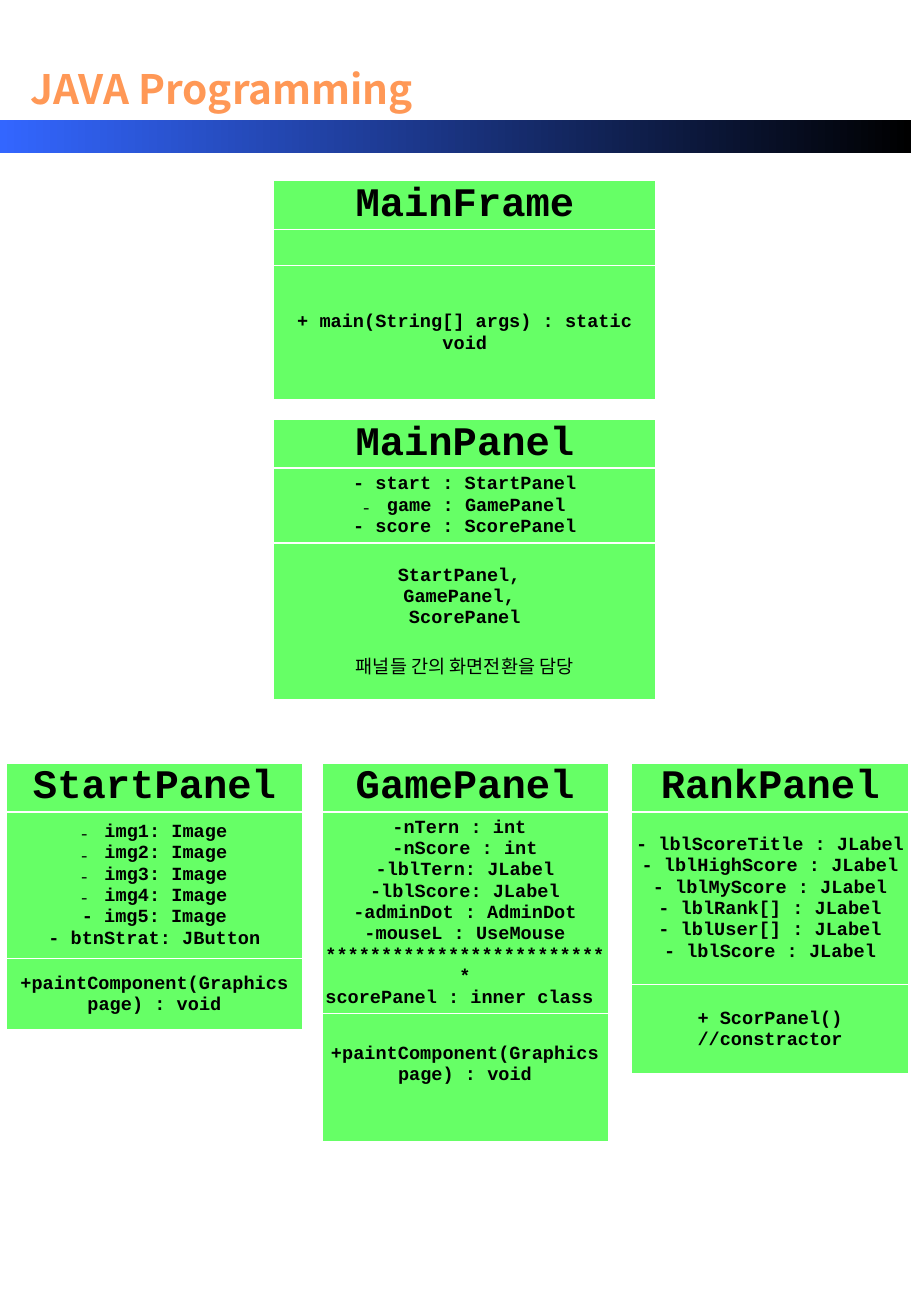
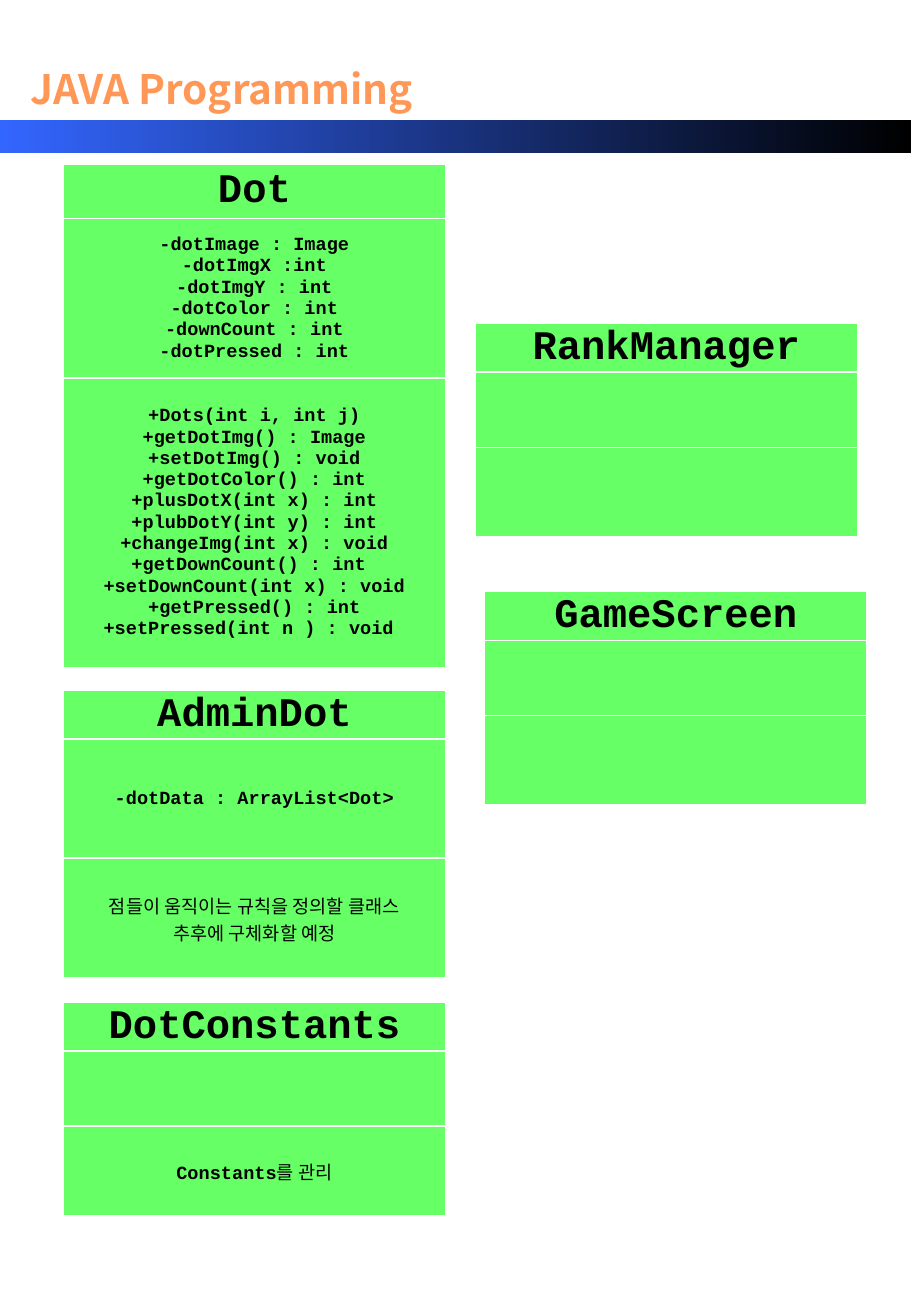
from lxml import etree
from pptx import Presentation
from pptx.dml.color import RGBColor
from pptx.enum.shapes import MSO_SHAPE
from pptx.enum.text import MSO_ANCHOR, MSO_AUTO_SIZE, PP_ALIGN
from pptx.oxml.ns import qn
from pptx.util import Cm, Pt

CENTER = PP_ALIGN.CENTER
MIDDLE = MSO_ANCHOR.MIDDLE
NO_AUTOSIZE = MSO_AUTO_SIZE.NONE
RECTANGLE = MSO_SHAPE.RECTANGLE

COLORS = {"title": "FF9856", "band_start": "3366FF", "band_end": "000000",
          "cell": "66FF66", "border": "FFFFFF", "text": "000000"}
CODE_FONT, KOREAN_FONT = "Courier New", "Noto Sans CJK KR"
NAME_SIZE, MEMBER_SIZE = 24, 11
SLIDE_WIDTH, SLIDE_HEIGHT = 19.05, 27.51
BULLET = "• "  # marks a member whose dash is a list bullet

# Each class: name, (left, top, width), row heights, attributes, operations.
# A line is a string, or a tuple of runs.
TITLE = "JAVA Programming"
WIDE = 8.0
CENTER_LEFT, PANELS_TOP = 5.72, 15.95
DOTS_LEFT = 1.32
SMALL_ROWS = (1.02, 1.57, 1.87)

PANEL_CLASSES = [
    ("MainFrame", (CENTER_LEFT, 3.76, WIDE), (1.04, 0.75, 2.81), [],
     ["+ main(String[] args) : static void"]),
    ("MainPanel", (CENTER_LEFT, 8.76, WIDE), (1.02, 1.57, 3.27),
     ["- start : StartPanel", BULLET + "game : GamePanel",
      "- score : ScorePanel"],
     ["StartPanel, ", "GamePanel, ", "ScorePanel",
      "패널들 간의 화면전환을 담당"]),
    ("StartPanel", (0.13, PANELS_TOP, 6.2), (1.02, 3.07, 1.48),
     [BULLET + "img1: Image", BULLET + "img2: Image", BULLET + "img3: Image",
      BULLET + "img4: Image", "- img5: Image", "- btnStrat: JButton"],
     ["+paintComponent(Graphics page) : void"]),
    ("GamePanel", (6.73, PANELS_TOP, 5.99), (1.02, 4.22, 2.67),
     ["-nTern : int ", "-nScore : int", "-lblTern: JLabel",
      "-lblScore: JLabel", "-adminDot : AdminDot", "-mouseL : UseMouse",
      "*" * 26, "scorePanel : inner class "],
     ["+paintComponent(Graphics page) : void"]),
    ("RankPanel", (13.21, PANELS_TOP, 5.79), (1.02, 3.61, 1.87),
     ["- lblScoreTitle : JLabel", "- lblHighScore : JLabel",
      "- lblMyScore : JLabel", "- lblRank[] : JLabel",
      "- lblUser[] : JLabel", "- lblScore : JLabel"],
     ["+ ScorPanel() //constractor"]),
]
DOT_CLASSES = [
    ("AdminDot", (DOTS_LEFT, 14.43, WIDE), (1.02, 2.49, 2.49),
     ["-dotData : ArrayList<Dot>"],
     ["점들이 움직이는 규칙을 정의할 클래스", "추후에 구체화할 예정"]),
    ("Dot", (DOTS_LEFT, 3.43, WIDE), (1.14, 3.33, 6.05),
     ["-dotImage : Image", "-dotImgX :int", "-dotImgY : int",
      "-dotColor : int", "-downCount : int", "-dotPressed : int"],
     ["+Dots(int i, int j)", "+getDotImg() : Image", "+setDotImg() : void",
      "+getDotColor() : int", "+plusDotX(int x) : int",
      "+plubDotY(int y) : int", "+changeImg(int x) : void",
      "+getDownCount() : int ", "+setDownCount(int x) : void",
      "+getPressed() : int", "+setPressed(int n ) : void "]),
    ("DotConstants", (DOTS_LEFT, 20.95, WIDE), SMALL_ROWS, [],
     [("Constants", "를 관리")]),
    ("RankManager", (9.93, 6.76, WIDE), SMALL_ROWS, [], []),
    ("GameScreen", (10.13, 12.37, WIDE), SMALL_ROWS, [], []),
]
PARAGRAPH_GAPS = {"패널들 간의 화면전환을 담당": 13}  # points before the line
BOTTOM_MARGINS = {"GamePanel": 0.54}  # lifts the operations of a class


def rgb(key):
    """Return the named colour."""
    return RGBColor.from_string(COLORS[key])


def is_korean(text):
    """Tell whether the text holds Hangul."""
    return any("가" <= letter <= "힣" for letter in text)


def add_run(paragraph, text, size, font, color, bold):
    """Add one formatted run, with the same font for East Asian text."""
    run = paragraph.add_run()
    run.text = text
    run.font.size = Pt(size)
    run.font.bold = bold
    run.font.name = font
    run.font.color.rgb = rgb(color)
    east_asian = etree.Element(qn("a:ea"), typeface=font)
    run.font._element.find(qn("a:latin")).addnext(east_asian)


def add_dash_bullet(paragraph):
    """Give the paragraph a hanging dash bullet."""
    properties = paragraph._p.get_or_add_pPr()
    properties.set("marL", str(Cm(0.48)))
    properties.set("indent", str(-Cm(0.48)))
    etree.SubElement(properties, qn("a:buFont"), typeface=KOREAN_FONT)
    etree.SubElement(properties, qn("a:buChar"), char="-")


def style_cell(cell):
    """Set fill, margins and white borders of a cell."""
    cell.fill.solid()
    cell.fill.fore_color.rgb = rgb("cell")
    cell.vertical_anchor = MIDDLE
    cell.margin_left = cell.margin_right = cell.margin_top = Cm(0.03)
    cell.margin_bottom = 0
    properties = cell._tc.get_or_add_tcPr()
    for position, side in enumerate(("lnL", "lnR", "lnT", "lnB")):
        border = etree.Element(qn("a:" + side), w=str(Pt(1)))
        paint = etree.SubElement(border, qn("a:solidFill"))
        etree.SubElement(paint, qn("a:srgbClr"), val=COLORS["border"])
        properties.insert(position, border)


def fill_cell(cell, lines, size):
    """Write centred lines into a cell."""
    frame = cell.text_frame
    if not lines:
        etree.SubElement(frame.paragraphs[0]._p, qn("a:endParaRPr"),
                         sz=str(size * 100))
    for index, line in enumerate(lines):
        paragraph = frame.add_paragraph() if index else frame.paragraphs[0]
        paragraph.alignment = CENTER
        if line in PARAGRAPH_GAPS:
            paragraph.space_before = Pt(PARAGRAPH_GAPS[line])
        runs = (line,) if isinstance(line, str) else line
        if runs[0].startswith(BULLET):
            add_dash_bullet(paragraph)
        for text in runs:
            korean = is_korean(text)
            add_run(paragraph, text.removeprefix(BULLET), size,
                    KOREAN_FONT if korean else CODE_FONT, "text", not korean)


def add_class(slide, name, place, heights, attributes, operations):
    """Draw a class as a table of name, attributes and operations."""
    left, top, width = place
    table = slide.shapes.add_table(3, 1, Cm(left), Cm(top), Cm(width),
                                   Cm(sum(heights))).table
    table.horz_banding = table.first_row = False
    sections = (([name], NAME_SIZE), (attributes, MEMBER_SIZE),
                (operations, MEMBER_SIZE))
    for index, (lines, size) in enumerate(sections):
        table.rows[index].height = Cm(heights[index])
        cell = table.cell(index, 0)
        style_cell(cell)
        fill_cell(cell, lines, size)
    if name in BOTTOM_MARGINS:
        table.cell(2, 0).margin_bottom = Cm(BOTTOM_MARGINS[name])


def add_heading(slide):
    """Place the gradient band and the shared title."""
    band = slide.shapes.add_shape(RECTANGLE, 0, Cm(2.51), Cm(SLIDE_WIDTH),
                                  Cm(0.69))
    band.shadow.inherit = False
    band.line.fill.background()
    band.fill.gradient()
    band.fill.gradient_angle = 0
    for stop, key, position in zip(band.fill.gradient_stops,
                                   ("band_start", "band_end"), (0, 1)):
        stop.color.rgb = rgb(key)
        stop.position = position

    title = slide.shapes.title
    title.left, title.top = Cm(0.36), Cm(1.22)
    title.width, title.height = Cm(8.56), Cm(1.27)
    frame = title.text_frame
    frame.word_wrap = False
    frame.auto_size = NO_AUTOSIZE
    frame.vertical_anchor = MIDDLE
    frame.paragraphs[0].alignment = CENTER
    add_run(frame.paragraphs[0], TITLE, 24, KOREAN_FONT, "title", True)


def build():
    """Build and save both slides."""
    deck = Presentation()
    deck.slide_width, deck.slide_height = Cm(SLIDE_WIDTH), Cm(SLIDE_HEIGHT)
    title_only = deck.slide_layouts[5]
    for classes in (PANEL_CLASSES, DOT_CLASSES):
        slide = deck.slides.add_slide(title_only)
        add_heading(slide)
        for class_box in classes:
            add_class(slide, *class_box)
    deck.save("out.pptx")


build()
